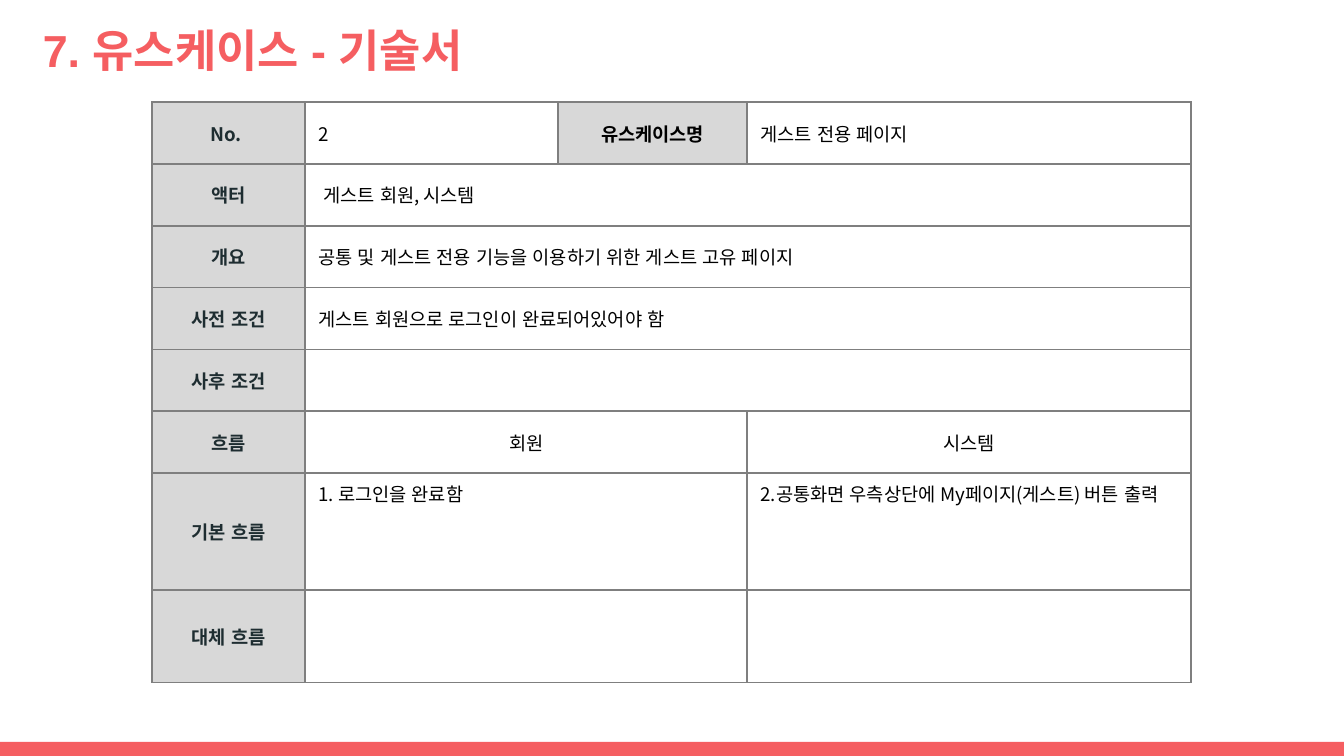
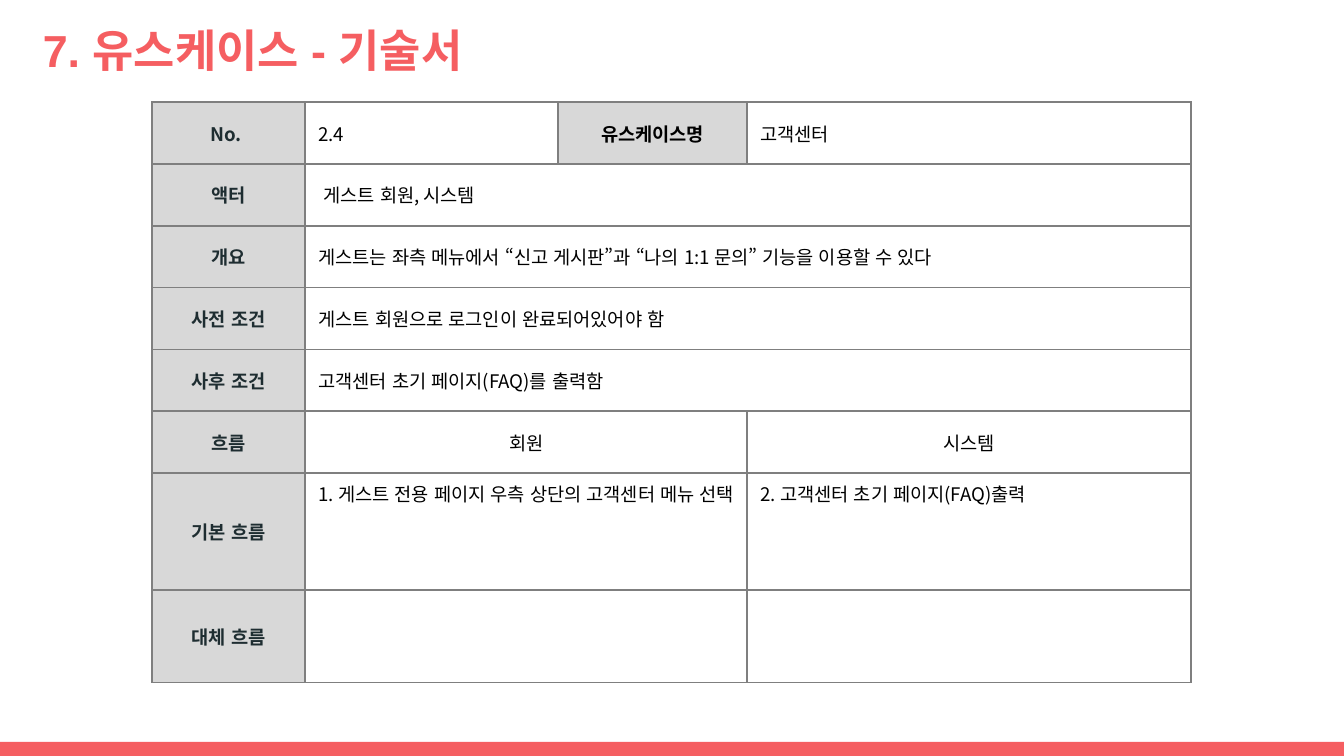
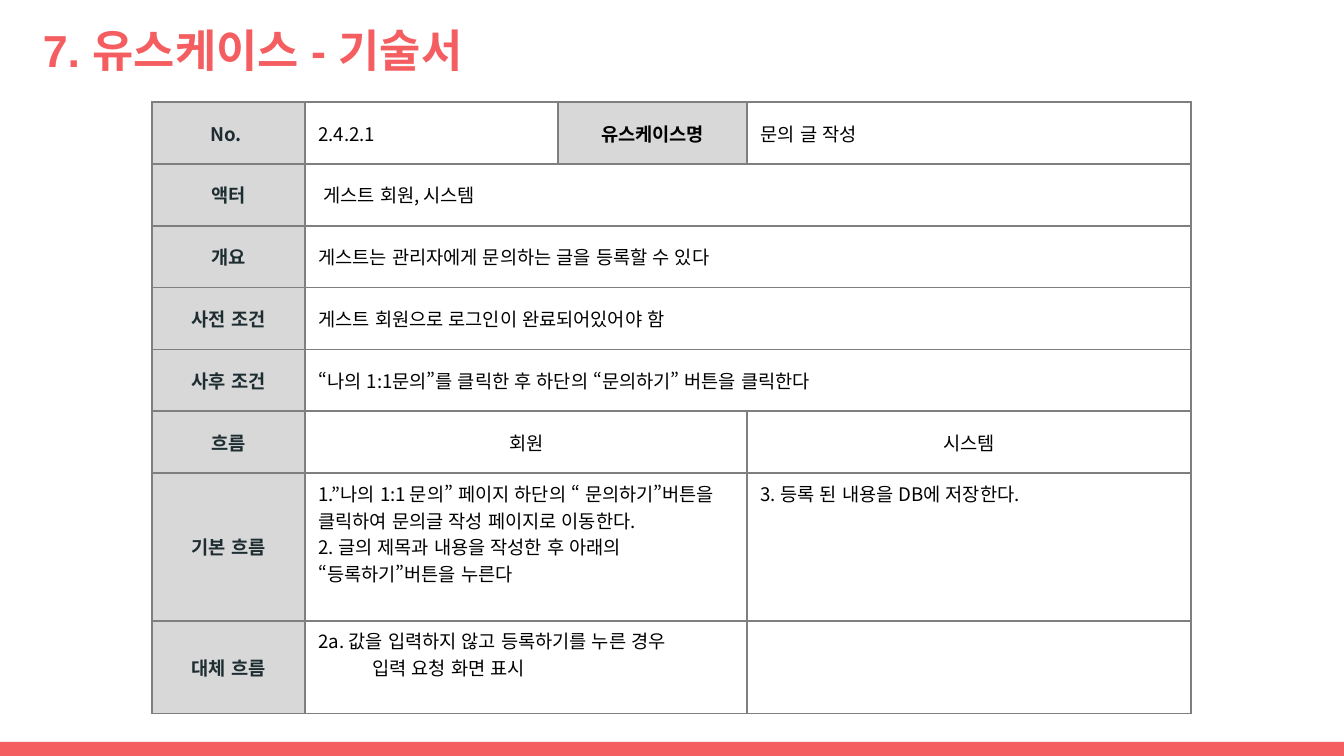
from copy import deepcopy
from dataclasses import dataclass

from lxml.etree import SubElement
from pptx import Presentation
from pptx.dml.color import RGBColor as RGB
from pptx.enum.lang import MSO_LANGUAGE_ID as Language
from pptx.enum.shapes import MSO_SHAPE as Shape
from pptx.enum.text import MSO_ANCHOR as Anchor, PP_ALIGN as Align
from pptx.oxml.ns import qn
from pptx.util import Inches, Pt


@dataclass(frozen=True)
class Theme:
    accent: str = "F55E61"
    label: str = "1E2D31"
    ink: str = "000000"
    shade: str = "D8D8D8"
    border: str = "7F7F7F"
    title_font: str = "Arial"
    body_font: str = "Noto Sans CJK KR"
    title_size: int = 24
    body_size: int = 10


THEME = Theme()
TITLE = "7. 유스케이스 - 기술서"
TITLE_BOX = (0.22, 0.07, 9.32, 0.6)
BAND_BOX = (0, 5.52, 10, 0.11)
TABLE_BOX = (1.13, 0.76)
COLUMNS = (1.14, 1.88, 1.41, 3.3)
ROW_HEIGHT = 0.46
ALTERNATE_HEIGHT = 0.69


@dataclass(frozen=True)
class UseCase:
    number: str
    name: str
    summary: str
    after: str
    member_flow: tuple
    system_flow: str
    alternate: str = ""
    flow_height: float = 0.87
    actors: str = " 게스트 회원, 시스템"
    before: str = "게스트 회원으로 로그인이 완료되어있어야 함"


USE_CASES = (
    UseCase(
        number="2",
        name="게스트 전용 페이지",
        summary="공통 및 게스트 전용 기능을 이용하기 위한 게스트 고유 페이지",
        after="",
        member_flow=("1. 로그인을 완료함",),
        system_flow="2.공통화면 우측상단에 My페이지(게스트) 버튼 출력",
    ),
    UseCase(
        number="2.4",
        name="고객센터",
        summary="게스트는 좌측 메뉴에서 “신고 게시판”과 “나의 1:1 문의” 기능을 이용할 수 있다",
        after="고객센터 초기 페이지(FAQ)를 출력함",
        member_flow=("1. 게스트 전용 페이지 우측 상단의 고객센터 메뉴 선택",),
        system_flow="2. 고객센터 초기 페이지(FAQ)출력",
    ),
    UseCase(
        number="2.4.2.1",
        name="문의 글 작성",
        summary="게스트는 관리자에게 문의하는 글을 등록할 수 있다",
        after="“나의 1:1문의”를 클릭한 후 하단의 “문의하기” 버튼을 클릭한다",
        member_flow=(
            "1.”나의 1:1 문의” 페이지 하단의 “ 문의하기”버튼을 클릭하여 문의글 작성 페이지로 이동한다.",
            "2. 글의 제목과 내용을 작성한 후 아래의 “등록하기”버튼을 누른다",
        ),
        system_flow="3. 등록 된 내용을 DB에 저장한다.",
        alternate="2a. 값을 입력하지 않고 등록하기를 누른 경우\n입력 요청 화면 표시",
        flow_height=1.1,
    ),
)


def write(frame, *lines, font=THEME.body_font, size=THEME.body_size,
          color=THEME.ink, bold=False, align=Align.LEFT, hanging=0):
    for index, line in enumerate(lines):
        para = frame.add_paragraph() if index else frame.paragraphs[0]
        para.text = line
        para.alignment = align
        if hanging:
            properties = para._p.get_or_add_pPr()
            properties.set("marL", str(Inches(hanging)))
            properties.set("indent", str(Inches(-hanging)))
        for span in para.runs:
            span.font.name = font
            span.font.size = Pt(size)
            span.font.bold = bold
            span.font.language_id = Language.KOREAN
            span.font.color.rgb = RGB.from_string(color)
            SubElement(span._r.rPr, qn("a:ea"), typeface=THEME.body_font)
        for line_break in para._p.findall(qn("a:br")):
            line_break.insert(0, deepcopy(para.runs[0]._r.rPr))


def add_title(page, box):
    title = page.shapes.add_textbox(*map(Inches, box))
    frame = title.text_frame
    frame.word_wrap = True
    frame.vertical_anchor = Anchor.MIDDLE
    frame.margin_left = frame.margin_right = Inches(0.1)
    frame.margin_top = frame.margin_bottom = Inches(0.1)
    write(frame, TITLE, font=THEME.title_font, size=THEME.title_size,
          color=THEME.accent, bold=True)


def add_band(page, box):
    band = page.shapes.add_shape(Shape.RECTANGLE, *map(Inches, box))
    band.shadow.inherit = False
    band.fill.solid()
    band.fill.fore_color.rgb = RGB.from_string(THEME.accent)
    band.line.fill.background()


def style_cell(cell):
    properties = cell._tc.get_or_add_tcPr()
    for side in ("lnL", "lnR", "lnT", "lnB"):
        line = SubElement(properties, qn(f"a:{side}"), w=str(Pt(1)))
        fill = SubElement(line, qn("a:solidFill"))
        SubElement(fill, qn("a:srgbClr"), val=THEME.border)
    cell.fill.background()
    cell.vertical_anchor = Anchor.MIDDLE


def write_label(cell, text, color=THEME.label):
    cell.fill.solid()
    cell.fill.fore_color.rgb = RGB.from_string(THEME.shade)
    write(cell.text_frame, text, color=color, bold=True, align=Align.CENTER)


def write_flow(cell, *lines, hanging=0):
    cell.vertical_anchor = Anchor.TOP
    write(cell.text_frame, *lines, hanging=hanging)


def add_use_case_table(page, box, case):
    heights = [ROW_HEIGHT] * 6 + [case.flow_height, ALTERNATE_HEIGHT]
    size = (sum(COLUMNS), sum(heights))
    table = page.shapes.add_table(
        len(heights), len(COLUMNS), *map(Inches, box + size)).table
    table.first_row = table.horz_banding = False
    for column, width in zip(table.columns, COLUMNS):
        column.width = Inches(width)
    for row, height in zip(table.rows, heights):
        row.height = Inches(height)
    for cell in table.iter_cells():
        style_cell(cell)

    labels = ("No. ", "액터", "개요", "사전 조건", "사후 조건", "흐름", "기본 흐름", "대체 흐름")
    for row, label in enumerate(labels):
        write_label(table.cell(row, 0), label)
        if row:
            table.cell(row, 1).merge(table.cell(row, 3 if row < 5 else 2))

    write(table.cell(0, 1).text_frame, case.number)
    write_label(table.cell(0, 2), "유스케이스명", color=THEME.ink)
    write(table.cell(0, 3).text_frame, case.name)
    details = (case.actors, case.summary, case.before, case.after)
    for row, detail in enumerate(details, start=1):
        write(table.cell(row, 1).text_frame, detail)
    for column, party in ((1, "회원"), (3, "시스템")):
        write(table.cell(5, column).text_frame, party, align=Align.CENTER)
    write_flow(table.cell(6, 1), *case.member_flow)
    write_flow(table.cell(6, 3), case.system_flow)
    write_flow(table.cell(7, 1), case.alternate, hanging=0.4)


def add_use_case_page(deck, case):
    page = deck.slides.add_slide(deck.slide_layouts[6])
    add_band(page, BAND_BOX)
    add_title(page, TITLE_BOX)
    add_use_case_table(page, TABLE_BOX, case)


def main():
    deck = Presentation()
    deck.slide_width = Inches(10)
    deck.slide_height = Inches(10 * 9 / 16)
    for case in USE_CASES:
        add_use_case_page(deck, case)
    deck.save("out.pptx")


if __name__ == "__main__":
    main()
